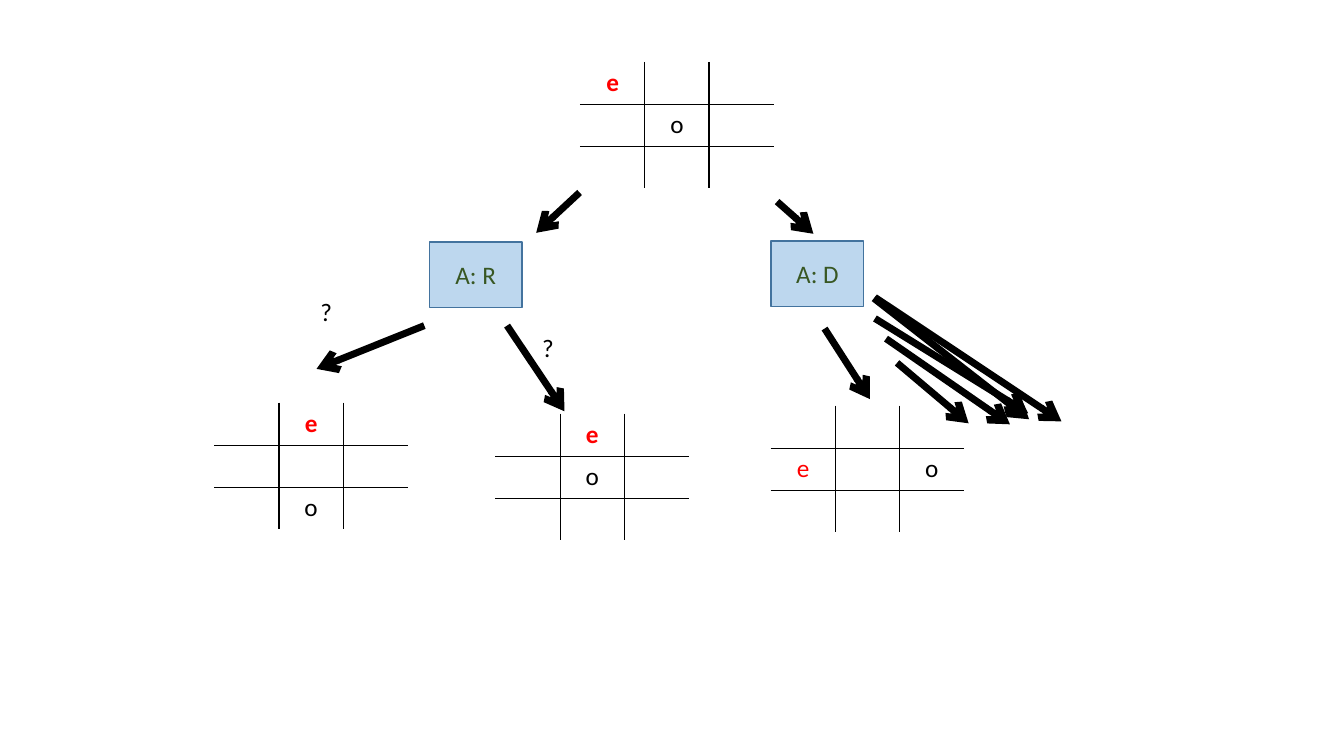
from lxml import etree
from pptx import Presentation
from pptx.dml.color import RGBColor
from pptx.enum.shapes import MSO_CONNECTOR, MSO_SHAPE
from pptx.enum.text import MSO_ANCHOR, MSO_AUTO_SIZE, PP_ALIGN
from pptx.oxml.ns import qn
from pptx.util import Pt

RECTANGLE = MSO_SHAPE.RECTANGLE
STRAIGHT = MSO_CONNECTOR.STRAIGHT
CENTER = PP_ALIGN.CENTER
MIDDLE = MSO_ANCHOR.MIDDLE
GROW = MSO_AUTO_SIZE.SHAPE_TO_FIT_TEXT

COLORS = {"ink": "000000", "paper": "FFFFFF", "e": "FF0000",
          "action": "BDD7EE", "action_line": "43739E", "action_text": "385723"}
FONT = "Calibri"
TEXT_SIZE = 18
GRID = 3
COLUMN, ROW = 45.9, 30
ACTION_WIDTH, ACTION_HEIGHT = 66.2, 46.8

# Left, top, (row, column) of e and of o, whether e is bold
BOARDS = [
    (414.7, 44.6, (0, 0), (1, 1), True),
    (550.8, 290.2, (1, 0), (1, 2), False),
    (354.2, 295.9, (0, 1), (1, 1), True),
    (153.4, 288, (0, 1), (2, 1), True),
]
ACTIONS = [("A: R", 306.7, 172.8), ("A: D", 550.8, 172.1)]
QUESTIONS = [(221.8, 208.1), (380.2, 234)]
# Start x, y and end x, y
BRANCHES = [
    (414, 137.5, 383, 166.3),
    (589, 234.7, 621.4, 285.1),
    (362.2, 232.6, 403.2, 293.8),
    (303.1, 232.6, 226.1, 263.5),
    (555.1, 144, 581, 167),
]
OTHER_OUTCOMES = [
    (640.8, 259.2, 691.9, 302.4),
    (632.9, 241.9, 721.4, 303.1),
    (625, 227.5, 734.4, 295.2),
    (624.2, 213.1, 735.1, 299.5),
    (625, 212.4, 758.2, 301),
]


def rgb(name):
    return RGBColor.from_string(COLORS[name])


def write(frame, text, color, align=None, bold=None):
    frame.text = text
    paragraph = frame.paragraphs[0]
    paragraph.alignment = align
    font = paragraph.runs[0].font
    font.name, font.size, font.bold = FONT, Pt(TEXT_SIZE), bold
    font.color.rgb = rgb(color)


def add_borders(cell, row, column):
    """Draw inner edges in ink and outer edges in the paper colour."""
    last = GRID - 1
    outer = {"L": column == 0, "R": column == last,
             "T": row == 0, "B": row == last}
    properties = cell._tc.get_or_add_tcPr()
    for index, (side, is_outer) in enumerate(outer.items()):
        line = etree.Element(qn(f"a:ln{side}"), w=str(Pt(1)))
        fill = etree.SubElement(line, qn("a:solidFill"))
        color = COLORS["paper" if is_outer else "ink"]
        etree.SubElement(fill, qn("a:srgbClr"), val=color)
        properties.insert(index, line)


def add_board(slide, left, top, e_place, o_place, e_bold):
    board = slide.shapes.add_table(GRID, GRID, Pt(left), Pt(top),
                                   Pt(GRID * COLUMN), Pt(GRID * ROW)).table
    board.first_row = board.horz_banding = False
    for column in board.columns:
        column.width = Pt(COLUMN)
    for row in board.rows:
        row.height = Pt(ROW)
    for row in range(GRID):
        for column in range(GRID):
            cell = board.cell(row, column)
            cell.fill.background()
            add_borders(cell, row, column)
    write(board.cell(*e_place).text_frame, "e", "e", CENTER, e_bold)
    write(board.cell(*o_place).text_frame, "o", "ink", CENTER, False)


def add_action(slide, label, left, top):
    action = slide.shapes.add_shape(RECTANGLE, Pt(left), Pt(top),
                                    Pt(ACTION_WIDTH), Pt(ACTION_HEIGHT))
    action.shadow.inherit = False
    action.fill.solid()
    action.fill.fore_color.rgb = rgb("action")
    action.line.color.rgb = rgb("action_line")
    action.line.width = Pt(1)
    action.text_frame.vertical_anchor = MIDDLE
    write(action.text_frame, label, "action_text", CENTER)


def add_question(slide, left, top):
    question = slide.shapes.add_textbox(Pt(left), Pt(top), Pt(38.2), Pt(29))
    question.text_frame.word_wrap = True
    question.text_frame.auto_size = GROW
    write(question.text_frame, "?", "ink")


def add_arrow(slide, *ends):
    arrow = slide.shapes.add_connector(STRAIGHT, *map(Pt, ends))
    arrow.line.color.rgb = rgb("ink")
    arrow.line.width = Pt(5)
    etree.SubElement(arrow.line._get_or_add_ln(), qn("a:tailEnd"), type="arrow")
    etree.SubElement(arrow._element.spPr, qn("a:effectLst"))


def main():
    presentation = Presentation()
    presentation.slide_width, presentation.slide_height = Pt(960), Pt(540)
    slide = presentation.slides.add_slide(presentation.slide_layouts[6])

    # Game states
    for board in BOARDS:
        add_board(slide, *board)

    # Actions and the branches between states
    for action in ACTIONS:
        add_action(slide, *action)
    for branch in BRANCHES:
        add_arrow(slide, *branch)

    # Unknown probabilities
    for question in QUESTIONS:
        add_question(slide, *question)

    # Further outcomes of the second action
    for outcome in OTHER_OUTCOMES:
        add_arrow(slide, *outcome)

    presentation.save("out.pptx")


main()
